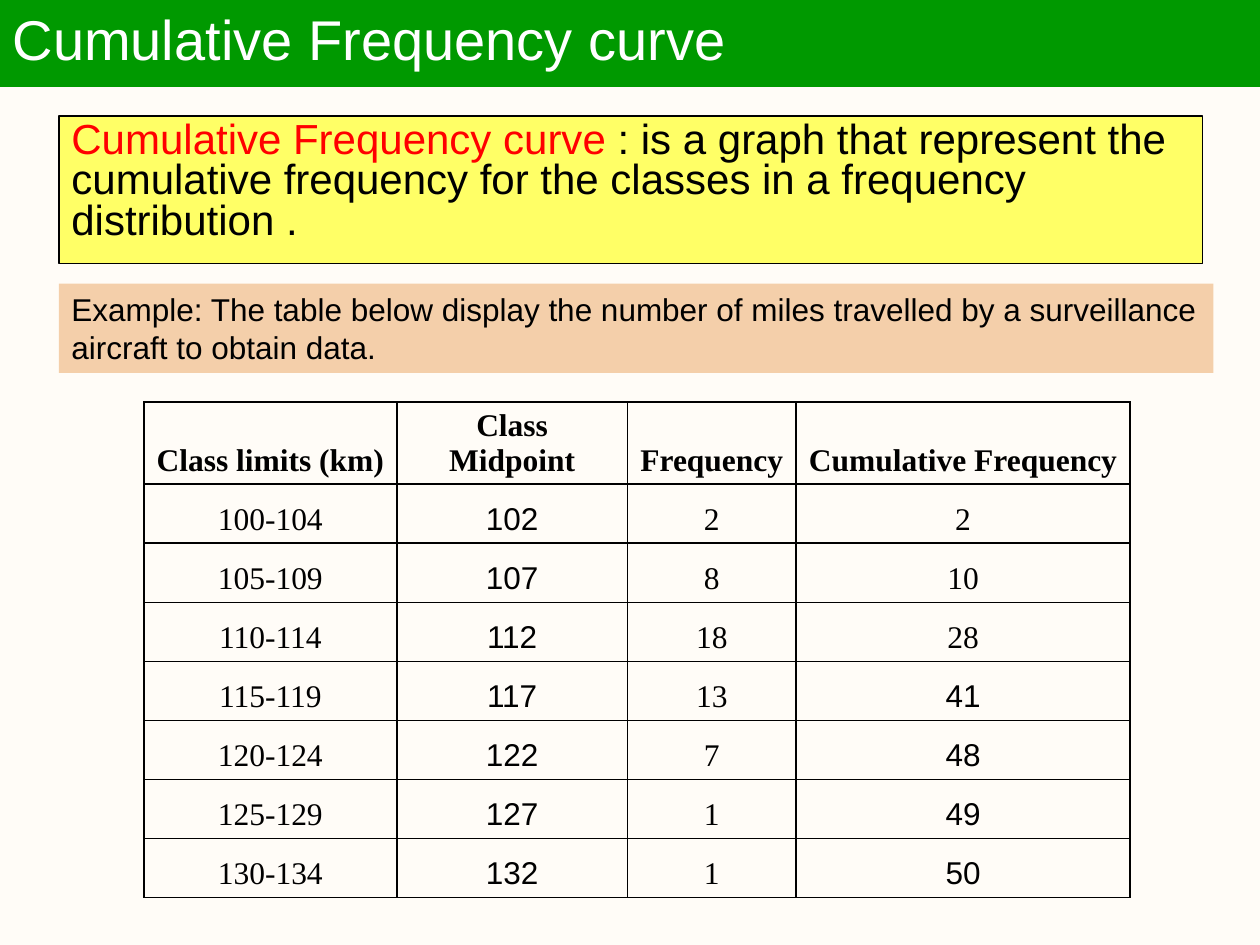
from dataclasses import dataclass
from itertools import accumulate

from lxml import etree
from pptx import Presentation
from pptx.dml.color import RGBColor
from pptx.enum.shapes import MSO_SHAPE
from pptx.enum.text import MSO_ANCHOR, MSO_AUTO_SIZE, PP_ALIGN
from pptx.oxml.ns import qn
from pptx.util import Cm, Pt

RECTANGLE = MSO_SHAPE.RECTANGLE
TOP, MIDDLE, BOTTOM = MSO_ANCHOR.TOP, MSO_ANCHOR.MIDDLE, MSO_ANCHOR.BOTTOM
LEFT, CENTER = PP_ALIGN.LEFT, PP_ALIGN.CENTER
NO_AUTOFIT = MSO_AUTO_SIZE.NONE


@dataclass(frozen=True)
class Theme:
    page: str = "FFFCF7"
    banner: str = "009900"
    definition: str = "FFFF66"
    example: str = "F4CFAA"
    term: str = "FF0000"
    ink: str = "000000"
    light: str = "FFFFFF"
    sans: str = "Arial"
    serif: str = "Times New Roman"
    title_size: int = 32
    definition_size: int = 24
    body_size: int = 18
    outline: float = 0.75
    grid: float = 1


THEME = Theme()

HEADERS = ["Class limits (km)", "Class Midpoint", "Frequency", "Cumulative Frequency"]
FREQUENCIES = [2, 8, 18, 13, 7, 1, 1]
FIRST_LIMIT, CLASS_WIDTH = 100, 5
SERIF_TOTALS = 3  # the first cumulative values are set in serif, the rest in sans
COLUMN_WIDTHS = [5.1, 4.65, 3.4, 6.73]
HEADER_HEIGHT, ROW_HEIGHT = 1.22, 1.19


def add_span(para, text, size, color, name=THEME.sans, bold=False):
    span = para.add_run()
    span.text = text
    formats = {"size": Pt(size), "name": name, "bold": bold}
    for key, value in formats.items():
        setattr(span.font, key, value)
    span.font.color.rgb = RGBColor.from_string(color)


def format_box(box, fill, line=None, anchor=TOP, spacing=1.0):
    """Style a box and return its first paragraph."""
    box.fill.solid()
    box.fill.fore_color.rgb = RGBColor.from_string(fill)
    if line:
        box.line.color.rgb = RGBColor.from_string(line)
        box.line.width = Pt(THEME.outline)
    else:
        box.line.fill.background()
    formats = {"word_wrap": True, "auto_size": NO_AUTOFIT, "vertical_anchor": anchor}
    for key, value in formats.items():
        setattr(box.text_frame, key, value)
    para = box.text_frame.paragraphs[0]
    para.alignment = LEFT
    para.line_spacing = spacing
    return para


def format_title(title):
    title.left, title.top, title.width, title.height = Cm(0), Cm(-0.05), Cm(25.4), Cm(1.8)
    para = format_box(title, THEME.banner, THEME.banner, MIDDLE, 0.9)
    add_span(para, "Cumulative Frequency curve", THEME.title_size, THEME.light)


def add_box(page, left, top, width, height, spans, size, **style):
    box = page.shapes.add_shape(RECTANGLE, Cm(left), Cm(top), Cm(width), Cm(height))
    box.shadow.inherit = False
    para = format_box(box, **style)
    for text, color in spans:
        add_span(para, text, size, color)


def add_borders(cell):
    properties = cell._tc.get_or_add_tcPr()
    for side in ("lnL", "lnR", "lnT", "lnB"):
        line = etree.SubElement(properties, qn(f"a:{side}"), w=str(Pt(THEME.grid)))
        fill = etree.SubElement(line, qn("a:solidFill"))
        etree.SubElement(fill, qn("a:srgbClr"), val=THEME.ink)


def fill_cell(cell, text, name, bold):
    add_borders(cell)
    cell.fill.background()
    cell.vertical_anchor = BOTTOM
    para = cell.text_frame.paragraphs[0]
    para.alignment = CENTER
    add_span(para, text, THEME.body_size, THEME.ink, name, bold)


def frequency_rows():
    """Return each class as (text, font name) pairs."""
    rows = []
    for index, (count, total) in enumerate(zip(FREQUENCIES, accumulate(FREQUENCIES))):
        lower = FIRST_LIMIT + index * CLASS_WIDTH
        upper = lower + CLASS_WIDTH - 1
        total_font = THEME.serif if index < SERIF_TOTALS else THEME.sans
        rows.append([
            (f"{lower}-{upper}", THEME.serif),
            (str((lower + upper) // 2), THEME.sans),
            (str(count), THEME.serif),
            (str(total), total_font),
        ])
    return rows


def add_frequency_table(page, left, top):
    rows = [[(header, THEME.serif) for header in HEADERS]] + frequency_rows()
    heights = [HEADER_HEIGHT] + [ROW_HEIGHT] * len(FREQUENCIES)
    frame = page.shapes.add_table(len(rows), len(HEADERS), Cm(left), Cm(top),
                                  Cm(sum(COLUMN_WIDTHS)), Cm(sum(heights)))
    table = frame.table
    table.first_row = table.horz_banding = False
    for column, width in zip(table.columns, COLUMN_WIDTHS):
        column.width = Cm(width)
    for row_index, (row, height) in enumerate(zip(rows, heights)):
        table.rows[row_index].height = Cm(height)
        for column_index, (text, name) in enumerate(row):
            fill_cell(table.cell(row_index, column_index), text, name, row_index == 0)


def main():
    deck = Presentation()
    deck.slide_width, deck.slide_height = Cm(25.4), Cm(19.05)
    page = deck.slides.add_slide(deck.slide_layouts[5])
    page.background.fill.solid()
    page.background.fill.fore_color.rgb = RGBColor.from_string(THEME.page)

    format_title(page.shapes.title)
    definition = [
        ("Cumulative Frequency curve ", THEME.term),
        (": is a graph that represent the cumulative frequency for the classes "
         "in a frequency distribution .", THEME.ink),
    ]
    add_box(page, 1.19, 2.34, 23.06, 2.97, definition, THEME.definition_size,
            fill=THEME.definition, line=THEME.ink, spacing=0.8)
    example = [("Example: The table below display the number of miles travelled by "
                "a surveillance aircraft to obtain data.", THEME.ink)]
    add_box(page, 1.19, 5.72, 23.27, 1.8, example, THEME.body_size, fill=THEME.example)
    add_frequency_table(page, 2.9, 8.1)
    deck.save("out.pptx")


if __name__ == "__main__":
    main()
